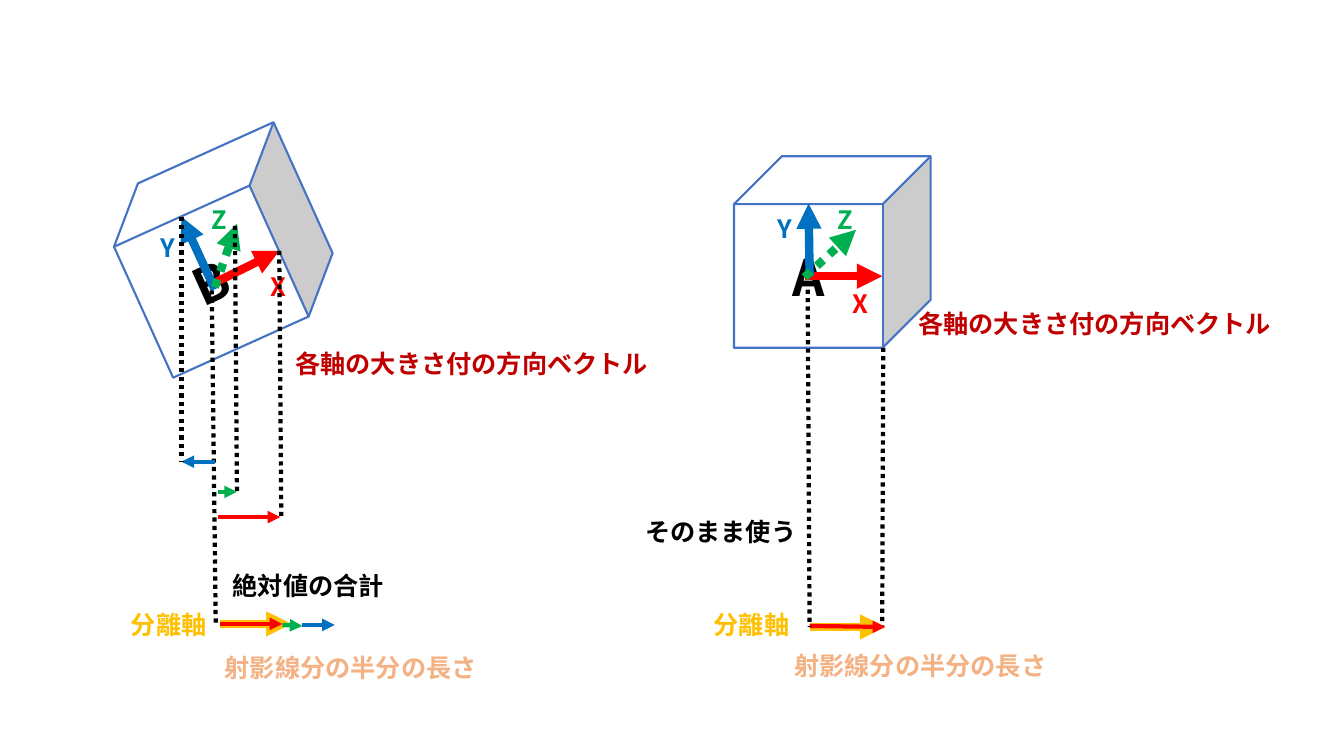
from lxml import etree
from pptx import Presentation
from pptx.dml.color import RGBColor
from pptx.enum.dml import MSO_LINE
from pptx.enum.shapes import MSO_CONNECTOR, MSO_SHAPE
from pptx.enum.text import MSO_ANCHOR, MSO_AUTO_SIZE, PP_ALIGN
from pptx.oxml.ns import qn
from pptx.util import Emu, Pt

CUBE, STRAIGHT = MSO_SHAPE.CUBE, MSO_CONNECTOR.STRAIGHT
DOTTED = MSO_LINE.ROUND_DOT  # stored as sysDot
MIDDLE, CENTER = MSO_ANCHOR.MIDDLE, PP_ALIGN.CENTER
GROW = MSO_AUTO_SIZE.SHAPE_TO_FIT_TEXT

BLACK = RGBColor(0x00, 0x00, 0x00)
WHITE = RGBColor(0xFF, 0xFF, 0xFF)
RED = RGBColor(0xFF, 0x00, 0x00)
BLUE = RGBColor(0x00, 0x70, 0xC0)
GREEN = RGBColor(0x00, 0xB0, 0x50)
GOLD = RGBColor(0xFF, 0xC0, 0x00)
DARK_RED = RGBColor(0xC0, 0x00, 0x00)
PEACH = RGBColor(0xF4, 0xB1, 0x83)
EDGE = RGBColor(0x44, 0x72, 0xC4)

EMU_PER_PX = 9144  # 100 px to the inch
THICK, THIN = 6, 3


def px(length):
    return Emu(length * EMU_PER_PX)


class Diagram:
    """Holds the style and the slide being drawn."""

    font = "Noto Sans CJK JP"
    label_size = 18
    box_size = 36

    def __init__(self, slide):
        self.slide = slide

    def set_text(self, frame, text, size, color):
        paragraph = frame.paragraphs[0]
        paragraph.text = text
        font = paragraph.font
        font.size, font.bold, font.name = Pt(size), True, self.font
        font.color.rgb = color
        # Japanese glyphs take the East Asian typeface
        defaults = paragraph._p.find(".//" + qn("a:defRPr"))
        etree.SubElement(defaults, qn("a:ea"), typeface=self.font)
        return paragraph

    def label(self, text, left, top, width, color):
        box = self.slide.shapes.add_textbox(px(left), px(top), px(width), px(40))
        box.text_frame.word_wrap = True
        box.text_frame.auto_size = GROW
        self.set_text(box.text_frame, text, self.label_size, color)

    def cube(self, name, left, top, rotation):
        cube = self.slide.shapes.add_shape(CUBE, px(left), px(top), px(195), px(190))
        cube.rotation = rotation
        cube.shadow.inherit = False
        cube.fill.solid()
        cube.fill.fore_color.rgb = WHITE
        cube.line.color.rgb = EDGE
        cube.line.width = Pt(1.5)
        cube.text_frame.vertical_anchor = MIDDLE
        self.set_text(cube.text_frame, name, self.box_size, BLACK).alignment = CENTER

    def line(self, start, end, color, width, dotted=False, arrow=True):
        connector = self.slide.shapes.add_connector(
            STRAIGHT, *map(px, start), *map(px, end))
        connector.line.color.rgb = color
        connector.line.width = Pt(width)
        if dotted:
            connector.line.dash_style = DOTTED
        properties = connector._element.spPr
        if arrow:
            etree.SubElement(properties.find(qn("a:ln")), qn("a:tailEnd"),
                             type="triangle")
        etree.SubElement(properties, qn("a:effectLst"))

    def arrow(self, start, end, color, width=THIN):
        self.line(start, end, color, width)

    def projection(self, start, end):
        self.line(start, end, BLACK, THIN, dotted=True, arrow=False)

    def box_with_axes(self, name, left, top, rotation, axes):
        """Cube with its X, Y and Z vectors; the depth axis Z is dotted."""
        self.cube(name, left, top, rotation)
        for axis, color, start, end, _ in axes:
            self.line(start, end, color, THICK, dotted=axis == "Z")
        for axis, color, _, _, corner in axes:
            self.label(axis, *corner, 35, color)


def draw_rotated_box(diagram):
    diagram.box_with_axes("B", 124, 153, 335.7, [
        ("X", RED, (210, 282), (277, 249), (258, 264)),
        ("Y", BLUE, (213, 287), (180, 215), (149, 226)),
        ("Z", GREEN, (213, 285), (235, 222), (200, 198)),
    ])

    # Separating axis
    diagram.arrow((218, 619), (289, 619), GOLD, THICK)
    diagram.label("分離軸", 120, 600, 156, GOLD)
    diagram.label("各軸の大きさ付の方向ベクトル", 283, 341, 380, DARK_RED)

    # Each vector projected on the axis
    diagram.projection((277, 249), (279, 513))
    diagram.arrow((216, 513), (278, 513), RED)
    diagram.arrow((216, 488), (235, 488), GREEN)
    diagram.projection((210, 288), (214, 620))
    diagram.arrow((213, 458), (180, 458), BLUE)
    diagram.projection((180, 215), (180, 458))
    diagram.projection((233, 224), (235, 488))

    # Sum of the absolute values, end to end
    diagram.label("絶対値の合計", 221, 561, 208, BLACK)
    diagram.arrow((218, 619), (280, 619), RED)
    diagram.arrow((280, 620), (300, 621), GREEN)
    diagram.arrow((300, 620), (332, 620), BLUE)
    diagram.label("射影線分の半分の長さ", 213, 642, 291, PEACH)


def draw_aligned_box(diagram):
    diagram.box_with_axes("A", 728, 155, 0, [
        ("X", RED, (798, 274), (875, 274), (836, 281)),
        ("Y", BLUE, (803, 274), (802, 202), (761, 207)),
        ("Z", GREEN, (798, 275), (849, 228), (821, 198)),
    ])

    # Separating axis
    diagram.arrow((803, 622), (878, 622), GOLD, THICK)
    diagram.label("分離軸", 698, 600, 112, GOLD)
    diagram.label("各軸の大きさ付の方向ベクトル", 901, 301, 380, DARK_RED)

    # X alone gives the projected length
    diagram.projection((876, 345), (875, 621))
    diagram.arrow((803, 621), (878, 622), RED)
    diagram.label("そのまま使う", 630, 507, 208, BLACK)
    diagram.projection((801, 279), (803, 622))
    diagram.label("射影線分の半分の長さ", 778, 640, 283, PEACH)


def main():
    presentation = Presentation()
    presentation.slide_width, presentation.slide_height = px(1333), px(750)
    blank = presentation.slide_layouts[6]
    diagram = Diagram(presentation.slides.add_slide(blank))
    draw_rotated_box(diagram)
    draw_aligned_box(diagram)
    presentation.save("out.pptx")


if __name__ == "__main__":
    main()
